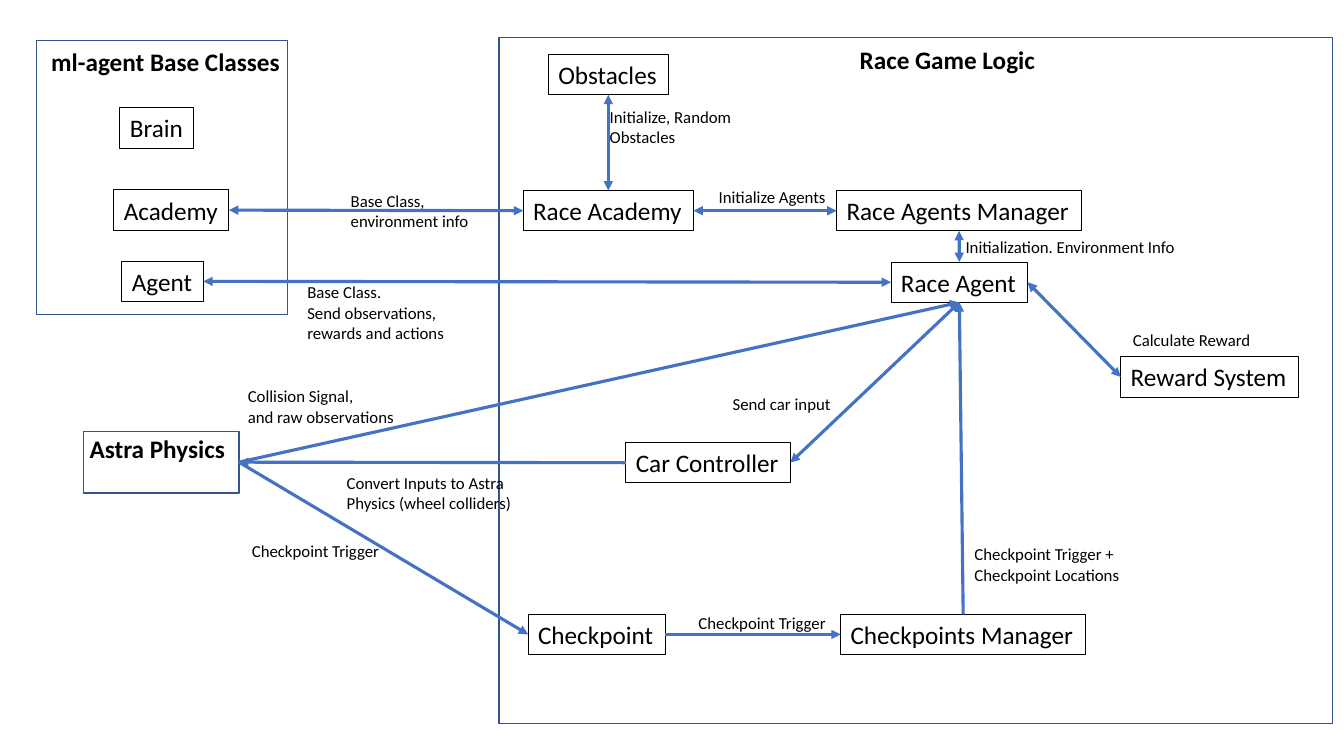
"""Build a one-slide diagram of how the race game classes link to ml-agent and physics."""
from lxml import etree
from pptx import Presentation
from pptx import util as u
from pptx.dml import color
from pptx.enum import shapes, text
from pptx.oxml import ns

COLORS = {"text": "000000", "box": "000000", "frame": "325491", "link": "4472C4"}
TOP, LEFT, BOTTOM, RIGHT = range(4)


def rgb(name):
    return color.RGBColor.from_string(COLORS[name])


def write(sp, words, size=18, bold=False, right=0):
    tf = sp.text_frame
    tf.word_wrap = True
    tf.auto_size = text.MSO_AUTO_SIZE.NONE
    tf.vertical_anchor = text.MSO_ANCHOR.TOP
    tf.margin_right = u.Pt(right)
    for i, line in enumerate(words.split("\n")):
        p = tf.add_paragraph() if i else tf.paragraphs[0]
        p.alignment = text.PP_ALIGN.LEFT
        r = p.add_run()
        r.text = line
        r.font.name = "Calibri"
        r.font.size = u.Pt(size)
        r.font.bold = bold
        r.font.color.rgb = rgb("text")


prs = Presentation()
prs.slide_width, prs.slide_height = u.Pt(960), u.Pt(540)
s = prs.slides.add_slide(prs.slide_layouts[6])

frames = {
    "Game": (356.4, 26.6, 595.4, 490.3),
    "Base": (25.9, 28.8, 179.3, 195.8),
    "Physics": (59.8, 308.2, 110.9, 43.9),
}
boxes = {
    "Brain": (85.7, 77, 52.6),
    "Academy": (81.4, 135.7, 82.1),
    "Agent": (87.1, 186.6, 58.1),
    "Obstacles": (391.7, 38.9, 85.7),
    "Race Academy": (373.7, 136.1, 121.7),
    "Race Agents Manager": (597.6, 136.1, 175),
    "Race Agent": (636.5, 187.2, 97.5),
    "Reward System": (800.6, 254.9, 126.9),
    "Car Controller": (447.1, 316.1, 117.4),
    "Checkpoint": (377.3, 438.8, 97.9),
    "Checkpoints Manager": (600.5, 438.8, 175),
}
nodes = {}
for name, (x, y, w, h) in [*frames.items(), *((n, (*b, 28.8)) for n, b in boxes.items())]:
    sp = s.shapes.add_shape(shapes.MSO_SHAPE.RECTANGLE, *map(u.Pt, (x, y, w, h)))
    sp.shadow.inherit = False
    sp.fill.background()
    sp.line.color.rgb = rgb("frame" if name in frames else "box")
    sp.line.width = u.Pt(1 if name in frames else 0.75)
    if name in boxes:
        write(sp, name)
    nodes[name] = sp

titles = [
    ("ml-agent Base Classes", 29.5, 29.5, 179.3),
    ("Race Game Logic", 607, 28.1, 141.1),
    ("Astra Physics", 56.9, 306, 113.8),
]
for words, x, y, w in titles:
    write(s.shapes.add_textbox(*map(u.Pt, (x, y, w, 28.8))), words, bold=True)

links = [
    ("Car Controller", LEFT, "Physics", RIGHT, False),
    ("Physics", RIGHT, "Race Agent", BOTTOM, False),
    ("Physics", RIGHT, "Checkpoint", LEFT, False),
    ("Academy", RIGHT, "Race Academy", LEFT, True),
    ("Agent", RIGHT, "Race Agent", LEFT, True),
    ("Race Agent", RIGHT, "Reward System", LEFT, True),
    ("Race Academy", TOP, "Obstacles", BOTTOM, True),
    ("Car Controller", RIGHT, "Race Agent", BOTTOM, True),
    ("Checkpoint", RIGHT, "Checkpoints Manager", LEFT, False),
    ("Checkpoints Manager", TOP, "Race Agent", BOTTOM, False),
    ("Race Academy", RIGHT, "Race Agents Manager", LEFT, True),
    ("Race Agent", TOP, "Race Agents Manager", BOTTOM, True),
]
for start, start_side, end, end_side, two_way in links:
    cn = s.shapes.add_connector(shapes.MSO_CONNECTOR.STRAIGHT, 0, 0, 0, 0)
    cn.begin_connect(nodes[start], start_side)
    cn.end_connect(nodes[end], end_side)
    cn.line.color.rgb = rgb("link")
    cn.line.width = u.Pt(2.25)
    ln = cn.line._get_or_add_ln()
    for tag in ("a:headEnd", "a:tailEnd")[0 if two_way else 1:]:
        etree.SubElement(ln, ns.qn(tag), type="triangle")
    etree.SubElement(cn._element.spPr, ns.qn("a:effectLst"))

labels = [
    ("Convert Inputs to Astra Physics (wheel colliders)", 240.5, 334.1, 133.2),
    ("Collision Signal,\nand raw observations", 169.9, 272.2, 136.8),
    ("Checkpoint Trigger", 172.8, 383, 109.4),
    ("Base Class, environment info", 243.4, 132.5, 109.4),
    ("Base Class.\nSend observations,\nrewards and actions", 212.4, 198, 116.6),
    ("Calculate Reward", 802.1, 231.8, 109.4),
    ("Initialize, Random Obstacles", 428.4, 72.7, 109.4),
    ("Send car input", 516.2, 277.9, 109.4),
    ("Checkpoint Trigger", 491.8, 434.2, 109.4),
    ("Checkpoint Trigger + Checkpoint Locations", 689, 385.2, 126.7),
    ("Initialize Agents", 506.2, 129.6, 109.4),
    ("Initialization. Environment Info", 682.6, 165.6, 235.4),
]
for words, x, y, w in labels:
    h = 21.6 + 14.6 * words.count("\n")
    write(s.shapes.add_textbox(*map(u.Pt, (x, y, w, h))), words, size=12, right=7.2)

prs.save("out.pptx")
